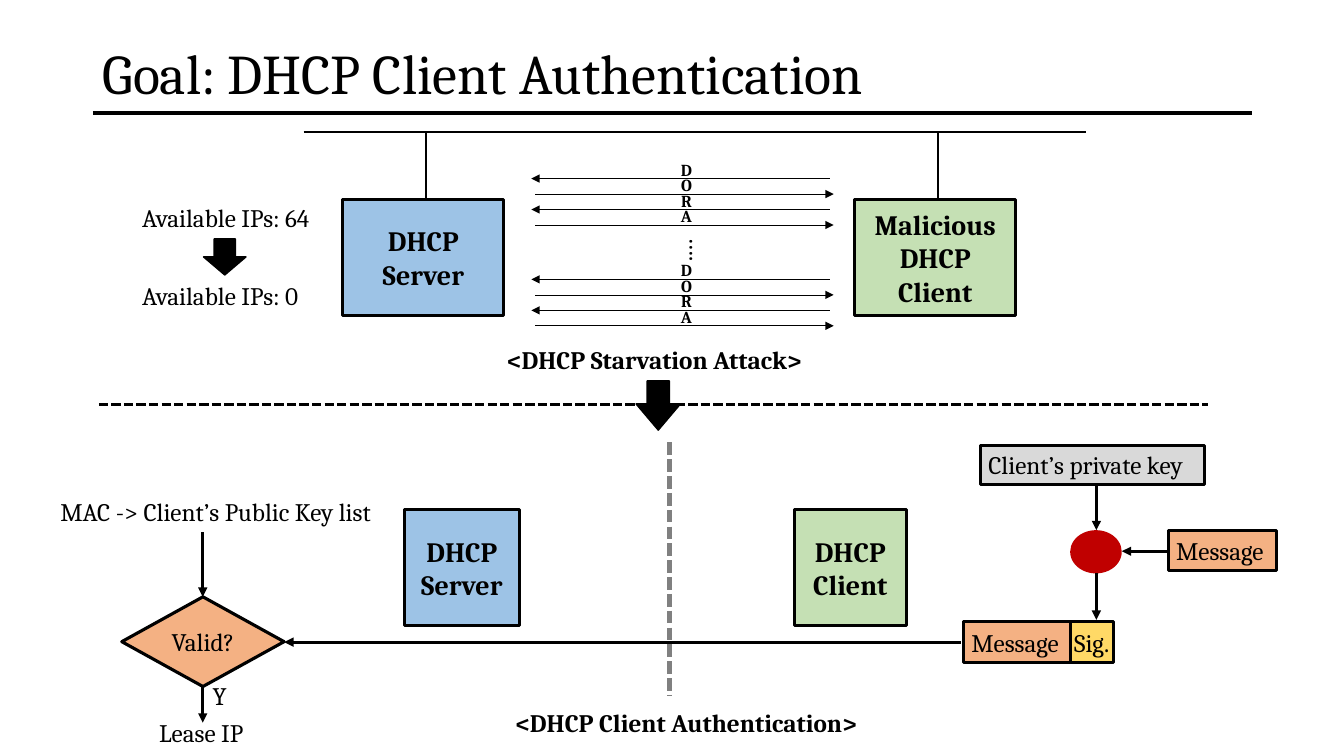
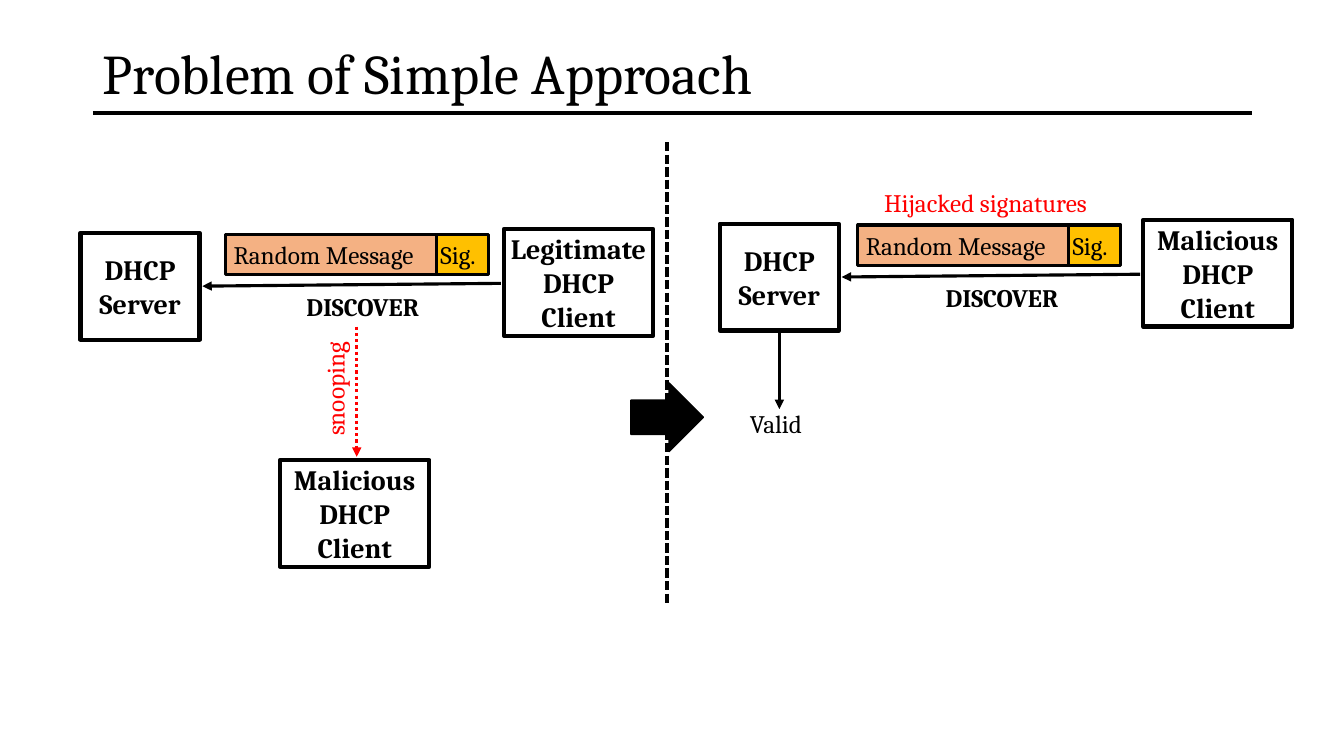
import dataclasses
import typing

import pptx
import pptx.dml.color
import pptx.enum.dml
import pptx.enum.shapes
import pptx.enum.text
import pptx.oxml
import pptx.oxml.ns
import pptx.util

Cm, Pt = pptx.util.Cm, pptx.util.Pt
SHAPE = pptx.enum.shapes.MSO_SHAPE
ALIGN = pptx.enum.text.PP_ALIGN
DASH = pptx.enum.dml.MSO_LINE
MIDDLE = pptx.enum.text.MSO_ANCHOR.MIDDLE


@dataclasses.dataclass(frozen=True)
class Theme:
    font: str = "Cambria"
    head: int = 40
    node: int = 20
    body: int = 18
    small: int = 12
    black: str = "000000"
    white: str = "FFFFFF"
    grey: str = "808080"
    pale: str = "D9D9D9"
    blue: str = "9DC3E6"
    green: str = "C5E0B4"
    orange: str = "F4B183"
    yellow: str = "FFD966"
    gold: str = "FFC000"
    red: str = "FF0000"
    dark: str = "C00000"
    hair: float = 0.5
    thin: float = 1.5
    edge: float = 2.25
    thick: float = 3


THEME = Theme()


def paint(name):
    return pptx.dml.color.RGBColor.from_string(name)


def apply(item, values):
    for key, value in values.items():
        setattr(item, key, value)


def tag(name):
    """Make an empty DrawingML element."""
    return pptx.oxml.parse_xml(f"<a:{name} {pptx.oxml.ns.nsdecls('a')}/>")


def write(frame, text, size=THEME.body, bold=False, hue=THEME.black,
          align=ALIGN.LEFT, pace=1.0):
    """Fill a text frame, with one paragraph for each line of text."""
    frame.text = text
    for para in frame.paragraphs:
        apply(para, {"alignment": align, "line_spacing": pace})
        for run in para.runs:
            apply(run.font, {"name": THEME.font, "size": Pt(size), "bold": bold})
            run.font.color.rgb = paint(hue)


@dataclasses.dataclass
class Pane:
    """A region of a slide; its parts are placed in cm from its corner."""
    slide: typing.Any
    left: float = 0
    top: float = 0

    def place(self, x, y):
        return Cm(self.left + x), Cm(self.top + y)

    def shape(self, kind, x, y, wide, high, fill, edge=THEME.edge):
        part = self.slide.shapes.add_shape(
            kind, *self.place(x, y), Cm(wide), Cm(high))
        part.shadow.inherit = False
        part.fill.solid()
        part.fill.fore_color.rgb = paint(fill)
        if edge:
            part.line.width = Pt(edge)
            part.line.color.rgb = paint(THEME.black)
        else:
            part.line.fill.background()
        return part

    def node(self, text, x, y, wide, high, fill, edge=THEME.edge,
             kind=SHAPE.RECTANGLE, size=THEME.node, bold=True):
        """A shape with its words in the centre."""
        frame = self.shape(kind, x, y, wide, high, fill, edge).text_frame
        apply(frame, {"word_wrap": False, "vertical_anchor": MIDDLE,
                      "margin_left": 0, "margin_right": 0})
        write(frame, text, size, bold, align=ALIGN.CENTER)

    def field(self, text, x, y, wide, fill, pad=0.2, high=1.02):
        """A data field, with its words at the left."""
        frame = self.shape(SHAPE.RECTANGLE, x, y, wide, high, fill).text_frame
        apply(frame, {"word_wrap": True, "vertical_anchor": MIDDLE,
                      "margin_left": Cm(pad), "margin_right": 0,
                      "margin_top": 0, "margin_bottom": 0})
        write(frame, text)

    def packet(self, text, sign, x, y, wide, tail, fill):
        """A message with its signature joined on."""
        self.field(text, x, y, wide, THEME.orange)
        self.field(sign, x + wide, y, tail, fill, pad=0.1)

    def label(self, text, x, y, wide, high=1.02, **style):
        box = self.slide.shapes.add_textbox(
            *self.place(x, y), Cm(wide), Cm(high))
        box.text_frame.word_wrap = True
        write(box.text_frame, text, **style)
        return box

    def line(self, start, end, width=THEME.edge, hue=THEME.black,
             dash=None, arrow=False):
        part = self.slide.shapes.add_connector(
            pptx.enum.shapes.MSO_CONNECTOR.STRAIGHT,
            *self.place(*start), *self.place(*end))
        part.line.color.rgb = paint(hue)
        apply(part.line, {"width": Pt(width), "dash_style": dash})
        if arrow:
            tip = tag("tailEnd")
            tip.set("type", "triangle")
            part.line._get_or_add_ln().append(tip)
        part._element.spPr.append(tag("effectLst"))

    def arrow(self, start, end, **style):
        self.line(start, end, arrow=True, **style)


def begin(deck, text):
    """Add a slide with the shared title and rule."""
    layout = deck.slide_layouts.get_by_name("Title Only")
    slide = deck.slides.add_slide(layout)
    title = slide.shapes.title
    apply(title, {"left": Cm(2.34), "top": Cm(1.02),
                  "width": Cm(29.21), "height": Cm(1.83)})
    apply(title.text_frame, {"vertical_anchor": MIDDLE, "word_wrap": True,
                             "auto_size": pptx.enum.text.MSO_AUTO_SIZE.NONE})
    write(title.text_frame, text, THEME.head, pace=0.9)
    Pane(slide).line((2.34, 2.84), (31.55, 2.84), THEME.thick)
    return slide


def rally(pane):
    """One four-step DHCP exchange, with arrows going both ways."""
    for i, mark in enumerate("DORA"):
        y = 0.39 * i
        ends = [(0.1, y), (7.62, y)] if i % 2 else [(7.52, y), (0, y)]
        pane.arrow(*ends, width=THEME.hair)
        pane.label(mark, 3.4, y - 0.61, 1.02, 0.76, size=THEME.small,
                   bold=True, align=ALIGN.CENTER)


def attack(pane):
    pane.line((4.32, 0), (24.05, 0), THEME.thin)
    for x, text, fill in ((5.31, "DHCP\nServer", THEME.blue),
                          (18.21, "Malicious\nDHCP\nClient", THEME.green)):
        pane.line((x + 2.1, 0), (x + 2.1, 1.7), THEME.thin)
        pane.node(text, x, 1.7, 4.06, 2.92, fill)
    for y in (1.17, 3.71):
        rally(Pane(pane.slide, pane.left + 10.06, pane.top + y))
    dots = pane.label("….", 13.54, 2.41, 1.27, 1.4)
    dots.text_frame._txBody.bodyPr.set("vert", "eaVert")
    for count, y in ((64, 1.65), (0, 3.61)):
        pane.label(f"Available IPs: {count}", 0, y, 5.36)
    pane.shape(SHAPE.DOWN_ARROW, 1.8, 2.69, 1.07, 0.91, THEME.black, 1)
    pane.label("<DHCP Starvation Attack>", 9.19, 5.21, 9.02, bold=True)


def verify(pane):
    """The server's check of a signed message."""
    pane.label("MAC -> Client’s Public Key list", 0, 1.22, 9.02)
    pane.node("DHCP\nServer", 8.92, 1.7, 2.9, 2.92, THEME.blue)
    pane.arrow((3.84, 2.26), (3.84, 3.89))
    pane.node("Valid?", 1.8, 3.89, 4.09, 2.26, THEME.orange,
              kind=SHAPE.DIAMOND, size=THEME.body, bold=False)
    pane.arrow((3.84, 6.15), (3.84, 7.06))
    pane.label("Y", 3.84, 5.87, 1.19)
    pane.label("Lease IP", 2.49, 6.81, 3.4)


def sign(pane):
    """The client's signing of a message."""
    pane.node("DHCP\nClient", 0, 1.7, 2.82, 2.92, THEME.green)
    pane.field("Client’s private key", 4.69, 0.08, 5.64, THEME.pale, high=0.97)
    pane.shape(SHAPE.OVAL, 6.95, 2.21, 1.3, 1.09, THEME.dark, 0)
    for y in (1.04, 3.3):
        pane.arrow((7.61, y), (7.61, y + 1.17))
    pane.field("Message", 9.42, 2.21, 2.74, THEME.orange)
    pane.arrow((9.42, 2.74), (8.25, 2.74))
    pane.packet("Message", "Sig.", 4.26, 4.52, 2.69, 1.09, THEME.yellow)


def prove(pane):
    """Client authentication, from signing to verdict."""
    verify(pane)
    sign(Pane(pane.slide, pane.left + 18.75, pane.top))
    pane.arrow((22.94, 5.03), (5.89, 5.03))
    pane.line((15.6, 0), (15.6, 6.4), THEME.thick, THEME.grey, DASH.SQUARE_DOT)
    pane.label("<DHCP Client Authentication>", 11.46, 6.55, 9.5, bold=True)


def send(pane, client, shift):
    """A signed DISCOVER message going from a client to the server."""
    pane.node("DHCP\nServer", 0, 0, 3, 2.69, THEME.white, THEME.thick)
    pane.node(client, 10.67, -0.1, 3.76, 2.69, THEME.white, THEME.thick)
    pane.arrow((10.59, 1.27), (3.07, 1.34))
    pane.label("DISCOVER", 5.44, 1.35, 3.71, bold=True)
    pane.packet("Random Message", "Sig.", shift, 0.03, 5.31, 1.32, THEME.gold)


def snoop(pane):
    send(pane, "Legitimate\nDHCP\nClient", 3.66)
    pane.node("Malicious\nDHCP\nClient", 5.03, 5.72, 3.76, 2.69,
              THEME.white, THEME.thick)
    pane.arrow((6.96, 2.36), (6.96, 5.64), hue=THEME.red, dash=DASH.ROUND_DOT)
    pane.label("snooping", 4.78, 3.23, 3.25, hue=THEME.red).rotation = 270


def replay(pane):
    send(pane, "Malicious\nDHCP\nClient", 3.48)
    pane.arrow((1.5, 2.69), (1.5, 4.67))
    pane.label("Valid", 0.51, 4.52, 2.11)
    pane.label("Hijacked signatures", 3.89, -1.04, 6.4, hue=THEME.red)


def goal(deck):
    slide = begin(deck, "Goal: DHCP Client Authentication")
    attack(Pane(slide, 3.33, 3.33))
    page = Pane(slide)
    page.line((2.49, 10.19), (30.45, 10.19), dash=DASH.SQUARE_DOT)
    head = page.shape(SHAPE.DOWN_ARROW, 16.03, 9.6, 1.12, 1.24, THEME.black, 1)
    head.adjustments[1] = 0.59
    prove(Pane(slide, 1.27, 11.15))


def problem(deck):
    slide = begin(deck, "Problem of Simple Approach")
    snoop(Pane(slide, 2.03, 5.87))
    page = Pane(slide)
    page.line((16.81, 3.58), (16.81, 15.24), dash=DASH.SQUARE_DOT)
    page.shape(SHAPE.RIGHT_ARROW, 15.9, 9.65, 1.83, 1.73, THEME.black, 1)
    replay(Pane(slide, 18.14, 5.64))


def main():
    deck = pptx.Presentation()
    apply(deck, {"slide_width": Cm(33.87), "slide_height": Cm(19.05)})
    goal(deck)
    problem(deck)
    deck.save("out.pptx")


if __name__ == "__main__":
    main()
